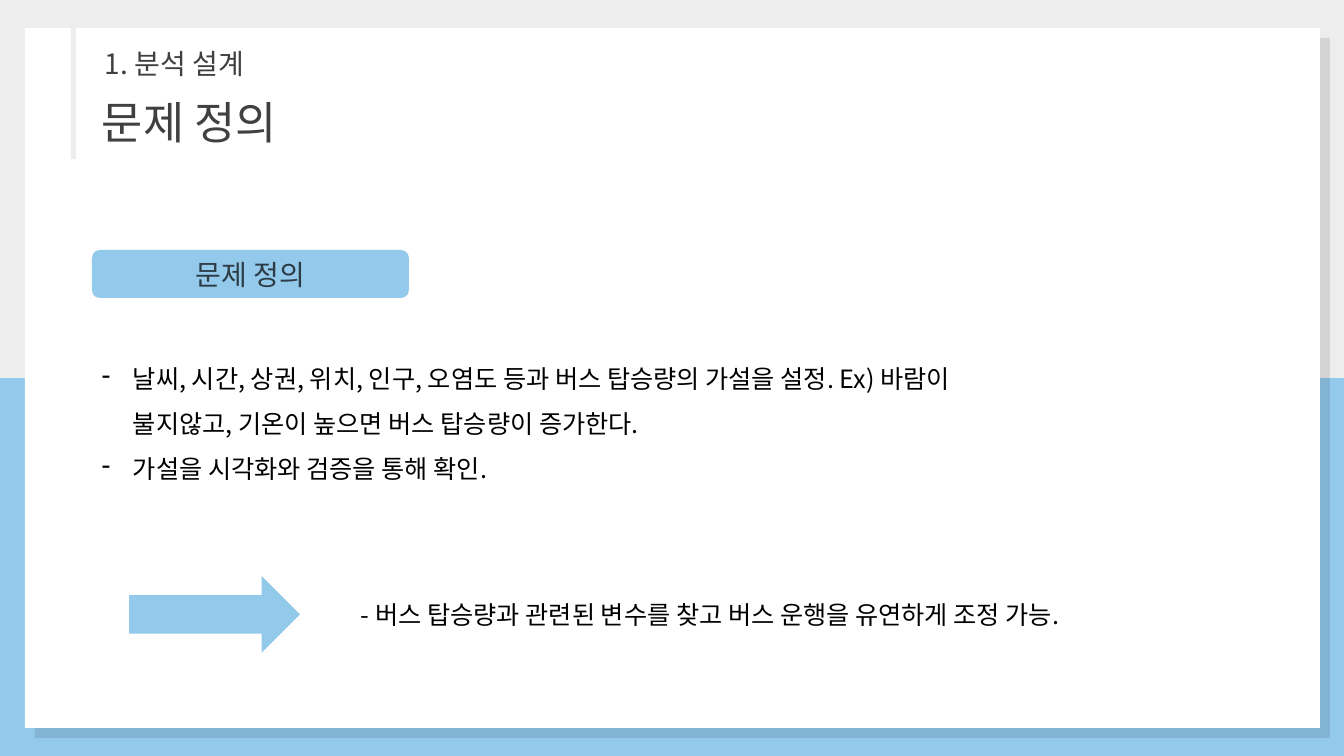
from dataclasses import dataclass

from lxml import etree
from pptx import Presentation
from pptx.dml.color import RGBColor
from pptx.enum.shapes import MSO_SHAPE
from pptx.enum.text import MSO_ANCHOR, MSO_AUTO_SIZE, PP_ALIGN
from pptx.oxml.ns import qn
from pptx.util import Emu, Pt

RECT = MSO_SHAPE.RECTANGLE
ROUND = MSO_SHAPE.ROUNDED_RECTANGLE
ARROW = MSO_SHAPE.RIGHT_ARROW
MIDDLE = MSO_ANCHOR.MIDDLE
GROW = MSO_AUTO_SIZE.SHAPE_TO_FIT_TEXT
CENTER = PP_ALIGN.CENTER

WIDE, HIGH = 1344, 756
SCALE = 12192000 / WIDE
INDENT = 31


@dataclass(frozen=True)
class Theme:
    font: str = "Noto Sans CJK KR"
    blue: str = "93C9EB"
    gray: str = "EDEDED"
    white: str = "FFFFFF"
    black: str = "000000"
    dark: str = "404040"
    navy: str = "2D3B45"
    title: int = 32
    label: int = 20
    body: int = 18


THEME = Theme()


def px(count):
    return Emu(round(count * SCALE))


def paint(fill, color):
    fill.solid()
    fill.fore_color.rgb = RGBColor.from_string(color)


def add_block(slide, kind, box, color):
    block = slide.shapes.add_shape(kind, *map(px, box))
    block.shadow.inherit = False
    paint(block.fill, color)
    block.line.fill.background()
    return block


def cast_shade(block):
    """Give the block a hard shadow, down and to the right."""
    effects = block._element.spPr.find(qn("a:effectLst"))
    shade = etree.SubElement(effects, qn("a:outerShdw"), blurRad="0",
                             dist=str(Pt(10)), dir="2700000",
                             algn="tl", rotWithShape="0")
    color = etree.SubElement(shade, qn("a:srgbClr"), val=THEME.black)
    etree.SubElement(color, qn("a:alpha"), val="10000")


def add_run(para, text, size, color):
    run = para.add_run()
    run.text = text
    font = run.font
    font.name = THEME.font
    font.size = Pt(size)
    font.color.rgb = RGBColor.from_string(color)
    etree.SubElement(run._r.get_or_add_rPr(), qn("a:ea"), typeface=THEME.font)


def add_text(slide, box, text, size, color):
    frame = slide.shapes.add_textbox(*map(px, box)).text_frame
    frame.word_wrap = True
    frame.auto_size = GROW
    add_run(frame.paragraphs[0], text, size, color)


def add_list(slide, box, items):
    frame = slide.shapes.add_textbox(*map(px, box)).text_frame
    frame.word_wrap = True
    frame.auto_size = GROW
    for index, item in enumerate(items):
        para = frame.add_paragraph() if index else frame.paragraphs[0]
        para.line_spacing = 1.5
        props = para._p.get_or_add_pPr()
        props.set("marL", str(px(INDENT)))
        props.set("indent", str(-px(INDENT)))
        etree.SubElement(props, qn("a:buFontTx"))
        etree.SubElement(props, qn("a:buChar"), char="-")
        add_run(para, item, THEME.body, THEME.black)


def add_label(slide, box, text):
    frame = add_block(slide, ROUND, box, THEME.blue).text_frame
    frame.word_wrap = True
    frame.auto_size = GROW
    frame.vertical_anchor = MIDDLE
    para = frame.paragraphs[0]
    para.alignment = CENTER
    add_run(para, text, THEME.label, THEME.navy)


def add_frame(slide):
    """Draw the two-tone backdrop, the white card and the title bar."""
    paint(slide.background.fill, THEME.blue)
    add_block(slide, RECT, (0, 0, WIDE, HIGH // 2), THEME.gray)
    cast_shade(add_block(slide, RECT, (25, 28, 1295, 700), THEME.white))
    add_block(slide, RECT, (71, 28, 5, 131), THEME.gray)


def main():
    deck = Presentation()
    deck.slide_width, deck.slide_height = px(WIDE), px(HIGH)
    slide = deck.slides.add_slide(deck.slide_layouts[6])

    add_frame(slide)
    add_text(slide, (95, 42, 256, 44), "1. 분석 설계", THEME.label, THEME.dark)
    add_text(slide, (92, 90, 396, 64), "문제 정의", THEME.title, THEME.dark)
    add_list(slide, (92, 343, 880, 143), (
        "날씨, 시간, 상권, 위치, 인구, 오염도 등과 버스 탑승량의 가설을 설정. Ex) "
        "바람이 불지않고, 기온이 높으면 버스 탑승량이 증가한다.",
        "가설을 시각화와 검증을 통해 확인.",
    ))
    add_label(slide, (92, 250, 317, 48), "문제 정의")
    add_block(slide, ARROW, (129, 576, 171, 77), THEME.blue)
    add_text(slide, (351, 594, 754, 40),
             "- 버스 탑승량과 관련된 변수를 찾고 버스 운행을 유연하게 조정 가능.",
             THEME.body, THEME.black)
    deck.save("out.pptx")


if __name__ == "__main__":
    main()
